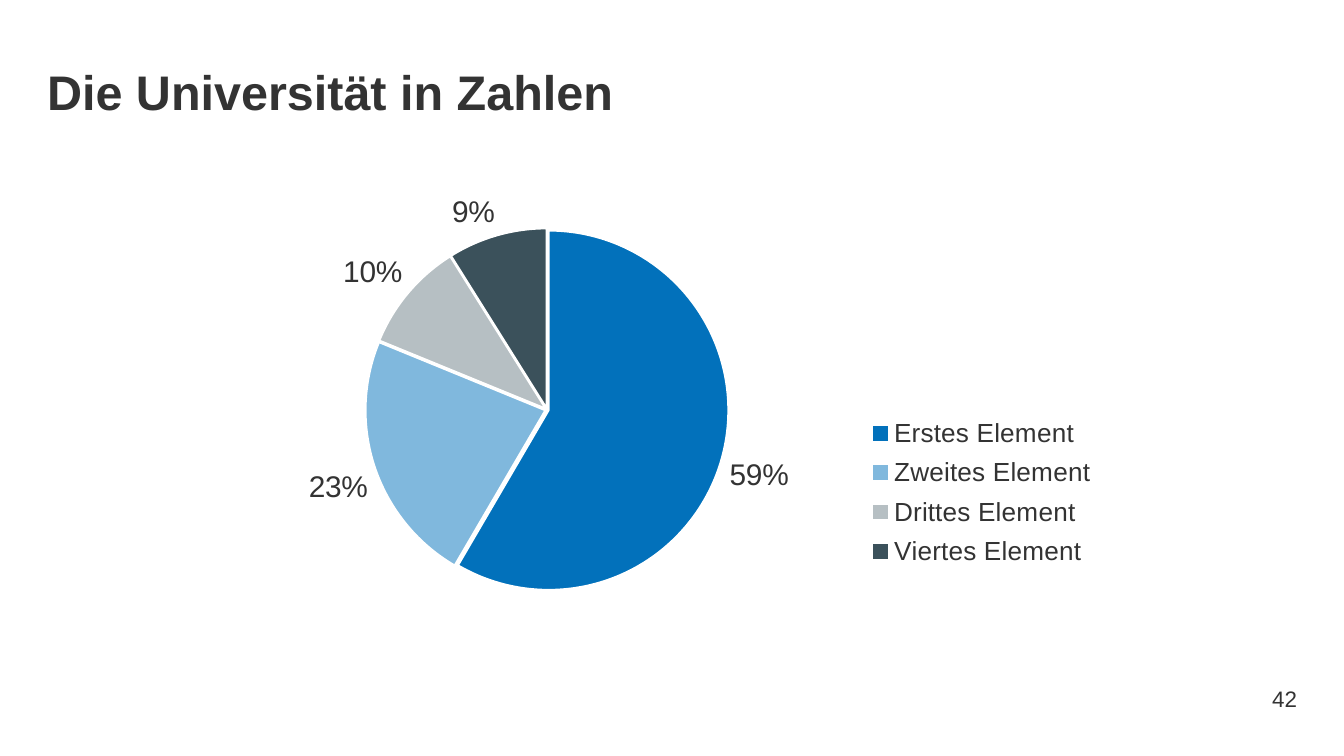
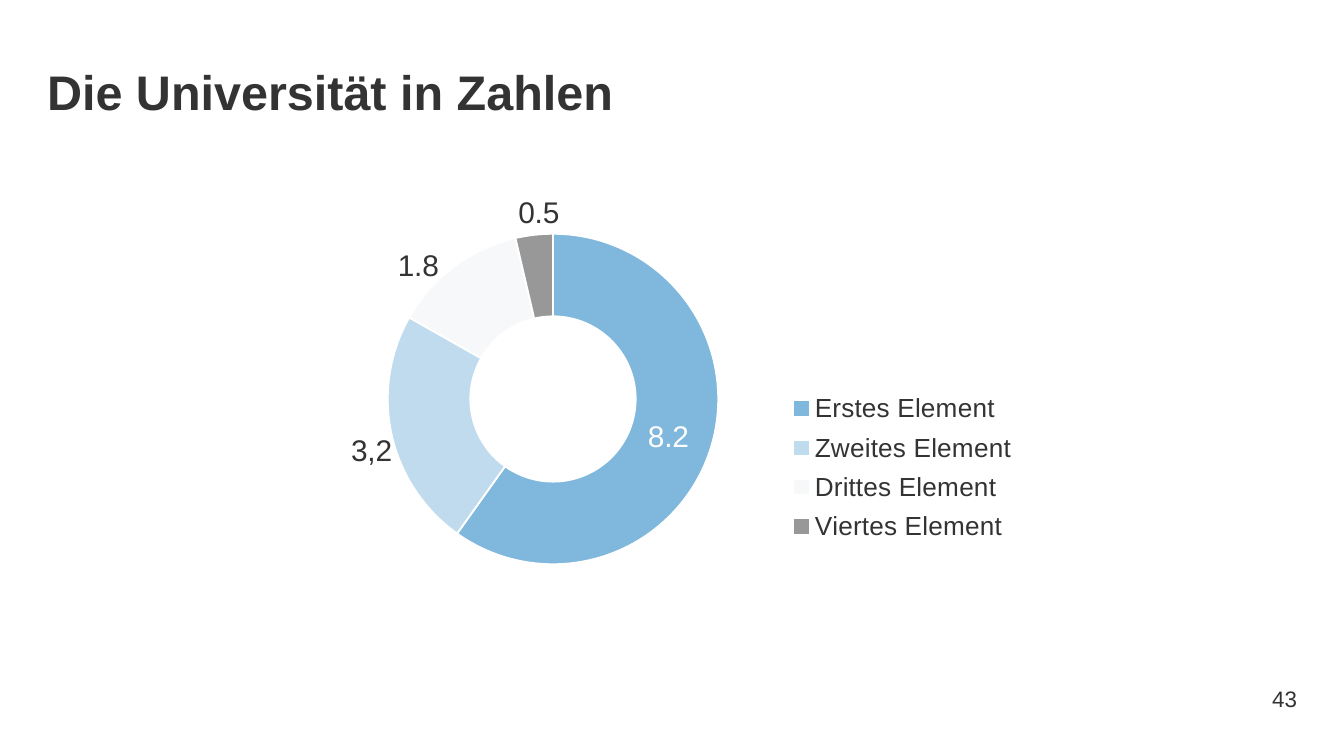
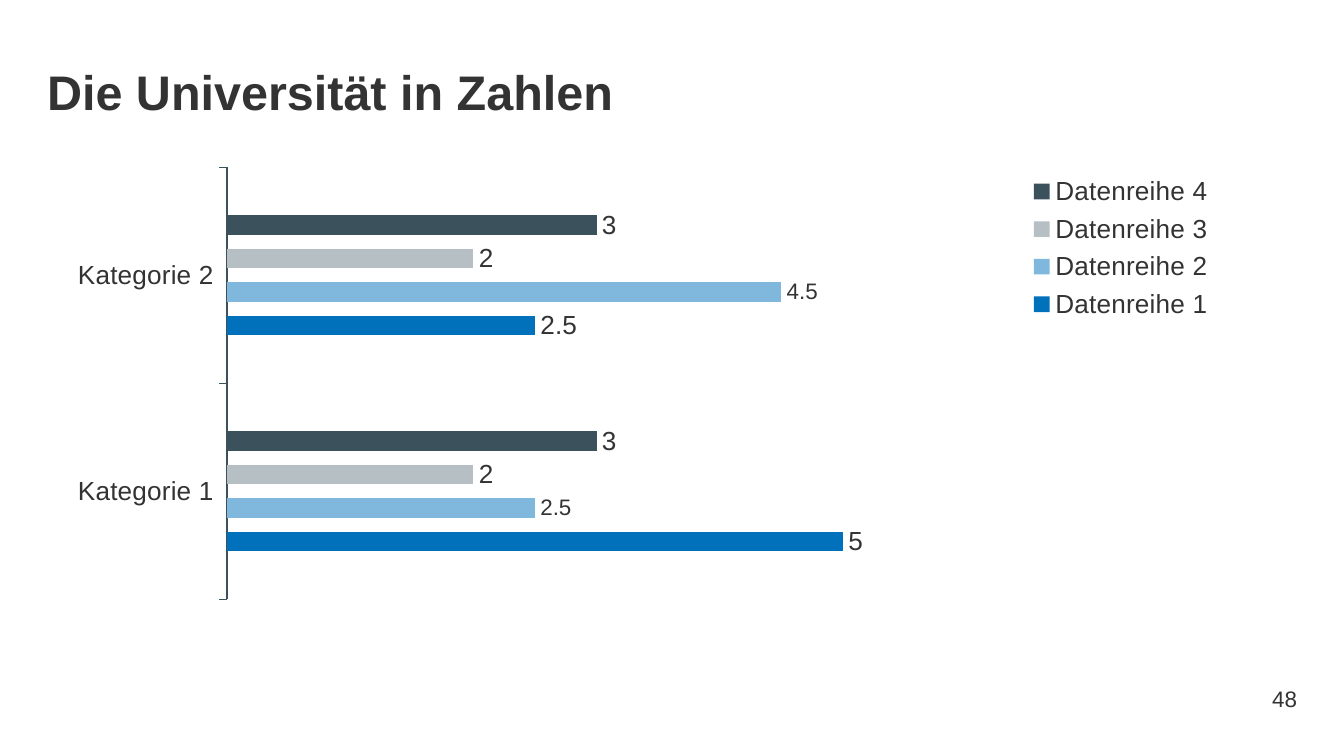
from lxml.etree import Element, SubElement
from pptx import Presentation
from pptx.chart.data import CategoryChartData
from pptx.dml.color import RGBColor
from pptx.enum.chart import XL_CHART_TYPE, XL_LABEL_POSITION, XL_LEGEND_POSITION, XL_TICK_MARK
from pptx.enum.text import MSO_ANCHOR, PP_ALIGN
from pptx.oxml.ns import qn
from pptx.util import Inches, Pt

FONT = "Arial"
TEXT = RGBColor(0x33, 0x33, 0x33)
WHITE = RGBColor(0xFF, 0xFF, 0xFF)
BLUE = RGBColor(0x02, 0x71, 0xBB)
LIGHT_BLUE = RGBColor(0x80, 0xB8, 0xDD)
PALE = RGBColor(0xF0, 0xF3, 0xF6)
GREY = RGBColor(0xB6, 0xBF, 0xC3)
SLATE = RGBColor(0x3B, 0x51, 0x5B)

TITLE = "Die Universität in Zahlen"
ELEMENTS = ["Erstes Element", "Zweites Element", "Drittes Element", "Viertes Element"]
SERIES_COLORS = [BLUE, LIGHT_BLUE, GREY, SLATE]
PIE_BOX = (0.34, 1.29, 9.3, 3.26)
DOUGHNUT_BOX = (0.35, 1.08, 9.29, 3.23)
BAR_BOX = (0.35, 1.24, 9.12, 3.23)


def style_font(font, size, color=TEXT, bold=False):
    font.name = FONT
    font.size = Pt(size)
    font.bold = bold
    font.color.rgb = color


def add_text(slide, text, box, size, margins, bold=False):
    shape = slide.shapes.add_textbox(*map(Inches, box))
    text_frame = shape.text_frame
    text_frame.word_wrap = True
    text_frame.margin_left, text_frame.margin_right = map(Inches, margins)
    text_frame.text = text
    paragraph = text_frame.paragraphs[0]
    style_font(paragraph.runs[0].font, size, bold=bold)
    return text_frame, paragraph


def add_slide(presentation, number):
    slide = presentation.slides.add_slide(presentation.slide_layouts[6])
    _, title = add_text(slide, TITLE, (0.35, 0.37, 9.29, 0.63), 26, (0, 0.1), bold=True)
    title.line_spacing = 1.1
    footer, page = add_text(slide, str(number), (8.93, 5.05, 0.72, 0.3), 12, (0.1, 0))
    footer.vertical_anchor = MSO_ANCHOR.MIDDLE
    page.alignment = PP_ALIGN.RIGHT
    return slide


def set_layout(parent, index, **settings):
    for old_layout in parent.findall(qn("c:layout")):
        parent.remove(old_layout)
    layout = Element(qn("c:layout"))
    manual = SubElement(layout, qn("c:manualLayout"))
    for name, value in settings.items():
        SubElement(manual, qn(f"c:{name}")).set("val", str(value))
    parent.insert(index, layout)


def set_area(parent, index, area, box, **target):
    chart_width, chart_height = box[2:]
    left, top, width, height = area
    set_layout(
        parent, index, **target, xMode="edge", yMode="edge",
        x=left / chart_width, y=top / chart_height,
        w=width / chart_width, h=height / chart_height,
    )


def add_chart(slide, chart_type, box, categories, series_values, plot_area, legend_area):
    chart_data = CategoryChartData()
    chart_data.categories = categories
    for name, values in series_values.items():
        chart_data.add_series(name, values)
    chart = slide.shapes.add_chart(chart_type, *map(Inches, box), chart_data).chart
    style_font(chart.font, 18)
    chart.has_title = False
    chart.has_legend = True
    legend = chart.legend
    legend.position = XL_LEGEND_POSITION.RIGHT
    legend.include_in_layout = False
    style_font(legend.font, 14)
    set_area(legend._element, 1, legend_area, box)
    set_area(chart._chartSpace.chart.plotArea, 0, plot_area, box, layoutTarget="inner")
    return chart


def show_values(series, size, position=None):
    labels = series.data_labels
    labels.show_value = True
    labels.show_percentage = False
    if position is not None:
        labels.position = position
    style_font(labels.font, size)
    return labels


def color_points(series, colors):
    series.format.line.color.rgb = WHITE
    series.format.line.width = Pt(1)
    for index, color in enumerate(colors):
        point_format = series.points[index].format
        point_format.fill.solid()
        point_format.fill.fore_color.rgb = color
        point_format.line.color.rgb = WHITE
        point_format.line.width = Pt(1)


def explode(series, percent):
    explosion = Element(qn("c:explosion"))
    explosion.set("val", str(percent))
    series._element.find(qn("c:spPr")).addnext(explosion)


def make_points_transparent(series, percent):
    steps = ("c:dPt", "c:spPr", "a:solidFill", "a:srgbClr")
    for color in series._element.findall("/".join(map(qn, steps))):
        SubElement(color, qn("a:alpha")).set("val", str((100 - percent) * 1000))


def place_label(series, index, offset, box, text=None, color=TEXT):
    label = series.points[index].data_label
    if text:
        label.text_frame.text = text
        style_font(label.text_frame.paragraphs[0].runs[0].font, 16, color)
    else:
        style_font(label.font, 16, color)
    label_element = series._element.find(qn("c:dLbls")).findall(qn("c:dLbl"))[index]
    set_layout(label_element, 1, x=offset[0] / box[2], y=offset[1] / box[3])


def add_pie_slide(presentation):
    slide = add_slide(presentation, 42)
    chart = add_chart(
        slide, XL_CHART_TYPE.PIE, PIE_BOX,
        ELEMENTS, {"Series 1": (59, 23, 10, 9)},
        (2.38, 0.41, 2.7, 2.7), (5.99, 1.75, 1.95, 1.25),
    )
    plot = chart.plots[0]
    plot.vary_by_categories = True
    series = plot.series[0]
    color_points(series, SERIES_COLORS)
    explode(series, 1)
    labels = show_values(series, 16, XL_LABEL_POSITION.OUTSIDE_END)
    labels.number_format = '0"%"'
    labels.number_format_is_linked = False


def add_doughnut_slide(presentation):
    slide = add_slide(presentation, 43)
    chart = add_chart(
        slide, XL_CHART_TYPE.DOUGHNUT, DOUGHNUT_BOX,
        ELEMENTS, {"Series 1": (8.2, 3.2, 1.8, 0.5)},
        (2.45, 0.66, 2.63, 2.46), (5.39, 1.78, 1.95, 1.24),
    )
    plot = chart.plots[0]
    plot.vary_by_categories = True
    plot._element.find(qn("c:holeSize")).set("val", "67")
    series = plot.series[0]
    color_points(series, [BLUE, LIGHT_BLUE, PALE, TEXT])
    make_points_transparent(series, 50)
    show_values(series, 16)
    place_label(series, 0, (-0.02, 0), DOUGHNUT_BOX, color=WHITE)
    place_label(series, 1, (-0.45, 0.19), DOUGHNUT_BOX, "3,2")
    place_label(series, 2, (-0.45, -0.25), DOUGHNUT_BOX)
    place_label(series, 3, (0, -0.47), DOUGHNUT_BOX, "0.5")


def add_bar_slide(presentation):
    slide = add_slide(presentation, 48)
    values = [(5, 2.5), (2.5, 4.5), (2, 2), (3, 3)]
    chart = add_chart(
        slide, XL_CHART_TYPE.BAR_CLUSTERED, BAR_BOX,
        ["Kategorie 1", "Kategorie 2"],
        {f"Datenreihe {number}": pair for number, pair in enumerate(values, 1)},
        (1.34, 0, 5.5, 3.22), (7.08, 0.01, 1.82, 1.18),
    )
    category_axis = chart.category_axis
    category_axis.major_tick_mark = XL_TICK_MARK.OUTSIDE
    category_axis.format.line.color.rgb = SLATE
    category_axis.format.line.width = Pt(0.75)
    style_font(category_axis.tick_labels.font, 14)
    value_axis = chart.value_axis
    value_axis.minimum_scale = 0
    value_axis.maximum_scale = 6
    value_axis.has_major_gridlines = False
    value_axis.visible = False
    plot = chart.plots[0]
    plot.vary_by_categories = False
    plot.gap_width = 500
    plot.overlap = -74
    for series, color, size in zip(plot.series, SERIES_COLORS, (14, 12, 14, 14)):
        series.format.fill.solid()
        series.format.fill.fore_color.rgb = color
        show_values(series, size, XL_LABEL_POSITION.OUTSIDE_END)


def main():
    presentation = Presentation()
    presentation.slide_width = Inches(10)
    presentation.slide_height = presentation.slide_width * 9 // 16
    add_pie_slide(presentation)
    add_doughnut_slide(presentation)
    add_bar_slide(presentation)
    presentation.save("out.pptx")


if __name__ == "__main__":
    main()
